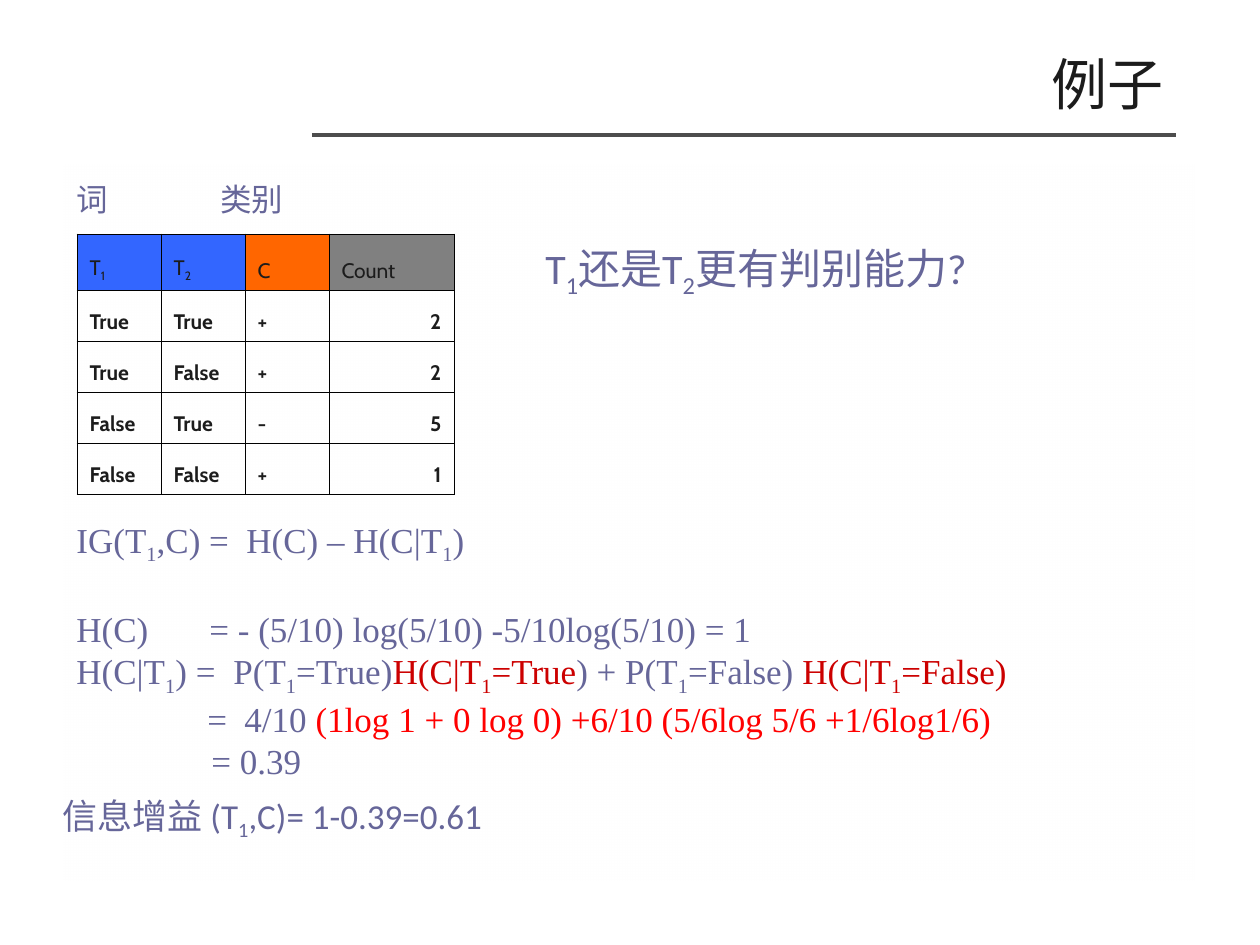
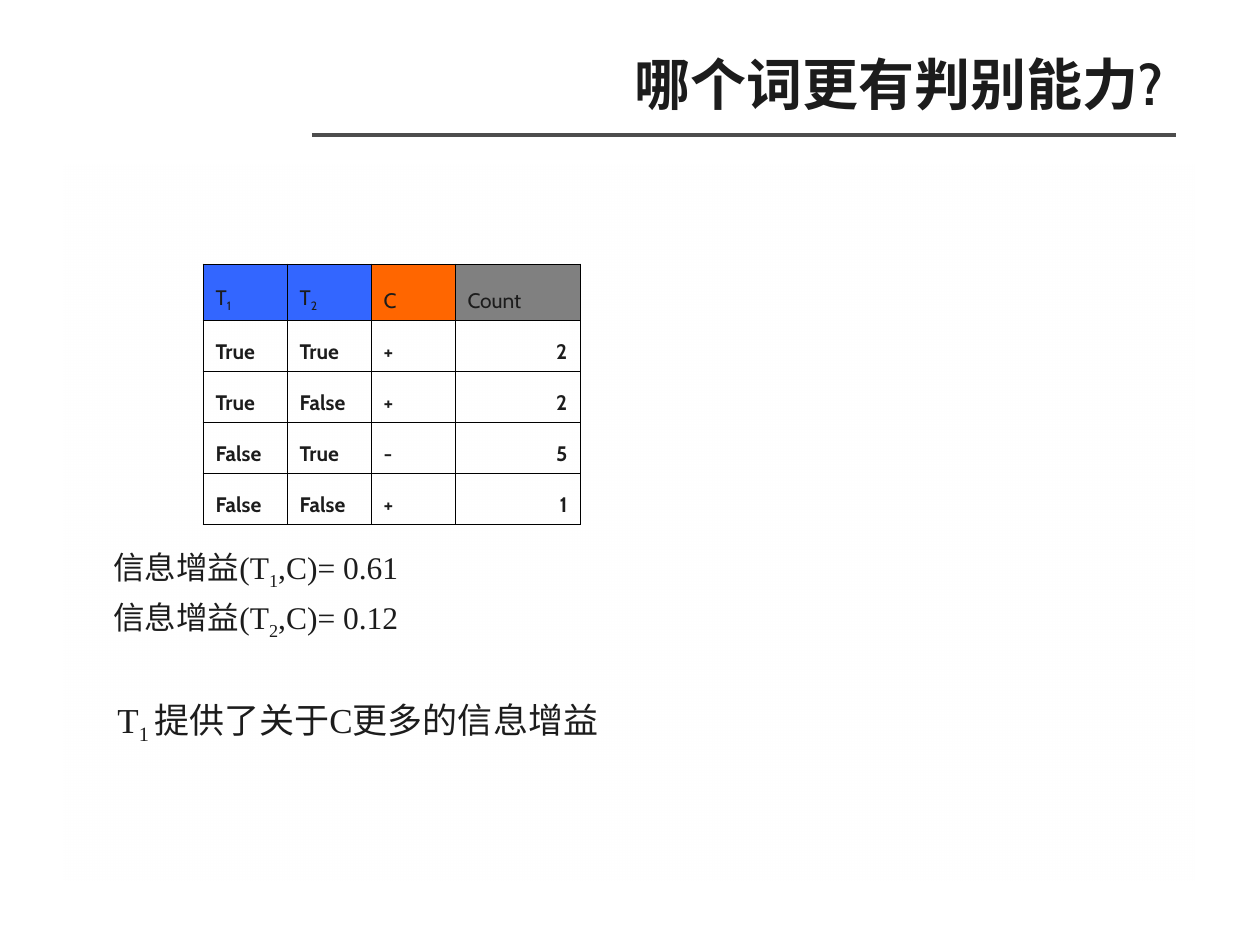
from pptx import Presentation
from pptx.dml.color import RGBColor
from pptx.enum.shapes import MSO_CONNECTOR, MSO_SHAPE
from pptx.enum.text import MSO_ANCHOR as Anchor, MSO_AUTO_SIZE as AutoSize, PP_ALIGN as Align
from pptx.oxml.ns import qn
from pptx.util import Emu, Pt
from lxml.etree import SubElement

EMU_PER_PX = 914400 / 126
INK, VIOLET, RED, DARK_RED = "1C1C1C", "666699", "FF0000", "CC0000"
WHITE, BLACK, RULE_GRAY = "FFFFFF", "000000", "4D4D4D"
SERIF, SANS, HEADING, BODY = "Times New Roman", "Arial", "Cabin", "Calibri"

COLUMN_WIDTHS = [84, 84, 84, 125]
HEADER_HEIGHT, ROW_HEIGHT = 56, 51
HEADER_FILLS = ["3366FF", "3366FF", "FF6600", "808080"]
TERM_COUNTS = [
    ["T~1~", "T~2~", "C", "Count"],
    ["True", "True", "+", "2"],
    ["True", "False", "+", "2"],
    ["False", "True", "-", "5"],
    ["False", "False", "+", "1"],
]


def px(length):
    return Emu(round(length * EMU_PER_PX))


def color(value):
    return RGBColor.from_string(value)


def add_spans(para, text, font, size, ink, bold=False):
    for index, piece in enumerate(text.split("~")):
        if not piece:
            continue
        span = para.add_run()
        span.text = piece
        span.font.name = font
        span.font.size = Pt(size)
        span.font.bold = bold
        span.font.color.rgb = color(ink)
        if index % 2:
            span.font._element.set("baseline", "-25000")


def add_tab_stops(para, stops):
    tab_list = SubElement(para._p.get_or_add_pPr(), qn("a:tabLst"))
    for stop in stops:
        SubElement(tab_list, qn("a:tab"), pos=str(px(stop)), algn="l")


def add_box(page, left, top, width, height, wrap=True):
    box = page.shapes.add_textbox(px(left), px(top), px(width), px(height))
    frame = box.text_frame
    frame.word_wrap = wrap
    frame.auto_size = AutoSize.SHAPE_TO_FIT_TEXT
    return frame


def add_line(page, place, parts, size, wrap=False):
    para = add_box(page, *place, wrap=wrap).paragraphs[0]
    for text, font, ink in parts:
        add_spans(para, text, font, size, ink)
    return para


def add_panel(page):
    panel = page.shapes.add_shape(MSO_SHAPE.RECTANGLE, px(64), px(165), px(1131), px(725))
    panel.shadow.inherit = False
    panel.line.fill.background()
    panel.fill.gradient()
    panel.fill.gradient_angle = 270
    for stop, opacity in zip(panel.fill.gradient_stops, (40000, 0)):
        stop.color.rgb = color(WHITE)
        SubElement(stop._gs.find(qn("a:srgbClr")), qn("a:alpha"), val=str(opacity))


def add_rule(page):
    rule = page.shapes.add_connector(MSO_CONNECTOR.STRAIGHT, px(312), px(135), px(1176), px(135))
    rule.line.color.rgb = color(RULE_GRAY)
    rule.line.width = Pt(0)
    SubElement(rule._element.spPr, qn("a:effectLst"))


def add_page(deck, title, bold=False):
    page = deck.slides.add_slide(deck.slide_layouts[6])
    add_panel(page)
    add_rule(page)
    frame = add_box(page, 87, 44, 1089, 78)
    frame.auto_size = AutoSize.NONE
    frame.vertical_anchor = Anchor.MIDDLE
    para = frame.paragraphs[0]
    para.alignment = Align.RIGHT
    add_spans(para, title, HEADING, 32, INK, bold)
    return page


def add_borders(cell):
    properties = cell._tc.get_or_add_tcPr()
    for side in ("lnL", "lnR", "lnT", "lnB"):
        border = SubElement(properties, qn("a:" + side), w=str(Pt(0.45)))
        fill = SubElement(border, qn("a:solidFill"))
        SubElement(fill, qn("a:srgbClr"), val=BLACK)


def fill_cell(cell, text, row, column):
    add_borders(cell)
    if row == 0:
        cell.fill.solid()
        cell.fill.fore_color.rgb = color(HEADER_FILLS[column])
    else:
        cell.fill.background()
    cell.vertical_anchor = Anchor.BOTTOM
    para = cell.text_frame.paragraphs[0]
    para.line_spacing = 1.5
    if row > 0 and column == 3:
        para.alignment = Align.RIGHT
    add_spans(para, text, HEADING, 12, INK, bold=row > 0)


def add_count_table(page, left, top):
    heights = [HEADER_HEIGHT] + [ROW_HEIGHT] * (len(TERM_COUNTS) - 1)
    table = page.shapes.add_table(
        len(heights), len(COLUMN_WIDTHS), px(left), px(top),
        px(sum(COLUMN_WIDTHS)), px(sum(heights))).table
    table.first_row = table.horz_banding = False
    for column, width in zip(table.columns, COLUMN_WIDTHS):
        column.width = px(width)
    for row, height in zip(table.rows, heights):
        row.height = px(height)
    for row, texts in enumerate(TERM_COUNTS):
        for column, text in enumerate(texts):
            fill_cell(table.cell(row, column), text, row, column)


def add_derivation(page):
    steps = [
        ([170], [("IG(T~1~,C) =\tH(C) – H(C|T~1~)", VIOLET)]),
        ([133], [("H(C)\t= - (5/10) log(5/10) -5/10log(5/10) = 1", VIOLET)]),
        ([157], [("H(C|T~1~) =\tP(T~1~=True)", VIOLET), ("H(C|T~1~=True", DARK_RED),
                 (") + P(T~1~=False) ", VIOLET), ("H(C|T~1~=False)", DARK_RED)]),
        ([131, 168], [("\t=\t4/10 ", VIOLET),
                      ("(1log 1 + 0 log 0) +6/10 (5/6log 5/6 +1/6log1/6)", RED)]),
        ([135], [("\t= 0.39", VIOLET)]),
    ]
    frame = add_box(page, 64, 512, 1091, 276)
    for index, (stops, parts) in enumerate(steps):
        para = frame.add_paragraph() if index else frame.paragraphs[0]
        if index == 1:
            para.space_before = Pt(24)
        add_tab_stops(para, stops)
        for text, ink in parts:
            add_spans(para, text, SERIF, 20, ink)


def build_example(deck):
    page = add_page(deck, "例子")
    add_count_table(page, 77, 234)
    labels = add_line(page, (64, 174, 307, 50), [("词\t类别", SANS, VIOLET)], 18, wrap=True)
    add_tab_stops(labels, [144])
    add_derivation(page)
    add_line(page, (50, 788, 455, 60), [("信息增益 (T~1~,C)= 1-0.39=0.61", BODY, VIOLET)], 20)
    add_line(page, (533, 236, 486, 71), [("T~1~还是T~2~更有判别能力?", BODY, VIOLET)], 24)


def build_comparison(deck):
    page = add_page(deck, "哪个词更有判别能力?", bold=True)
    add_count_table(page, 203, 264)
    for index, (term, gain) in enumerate([("1", "0.61"), ("2", "0.12")]):
        parts = [("信息增益", SANS, INK), (f"(T~{term}~,C)= {gain}", SERIF, INK)]
        add_line(page, (101, 542 + 50 * index, 318, 55), parts, 18)
    add_line(page, (105, 692, 973, 60),
             [("T~1 ~提供了关于C更多的信息增益", SERIF, INK)], 20, wrap=True)


def main():
    deck = Presentation()
    deck.slide_width, deck.slide_height = px(1260), px(945)
    build_example(deck)
    build_comparison(deck)
    deck.save("out.pptx")


if __name__ == "__main__":
    main()
